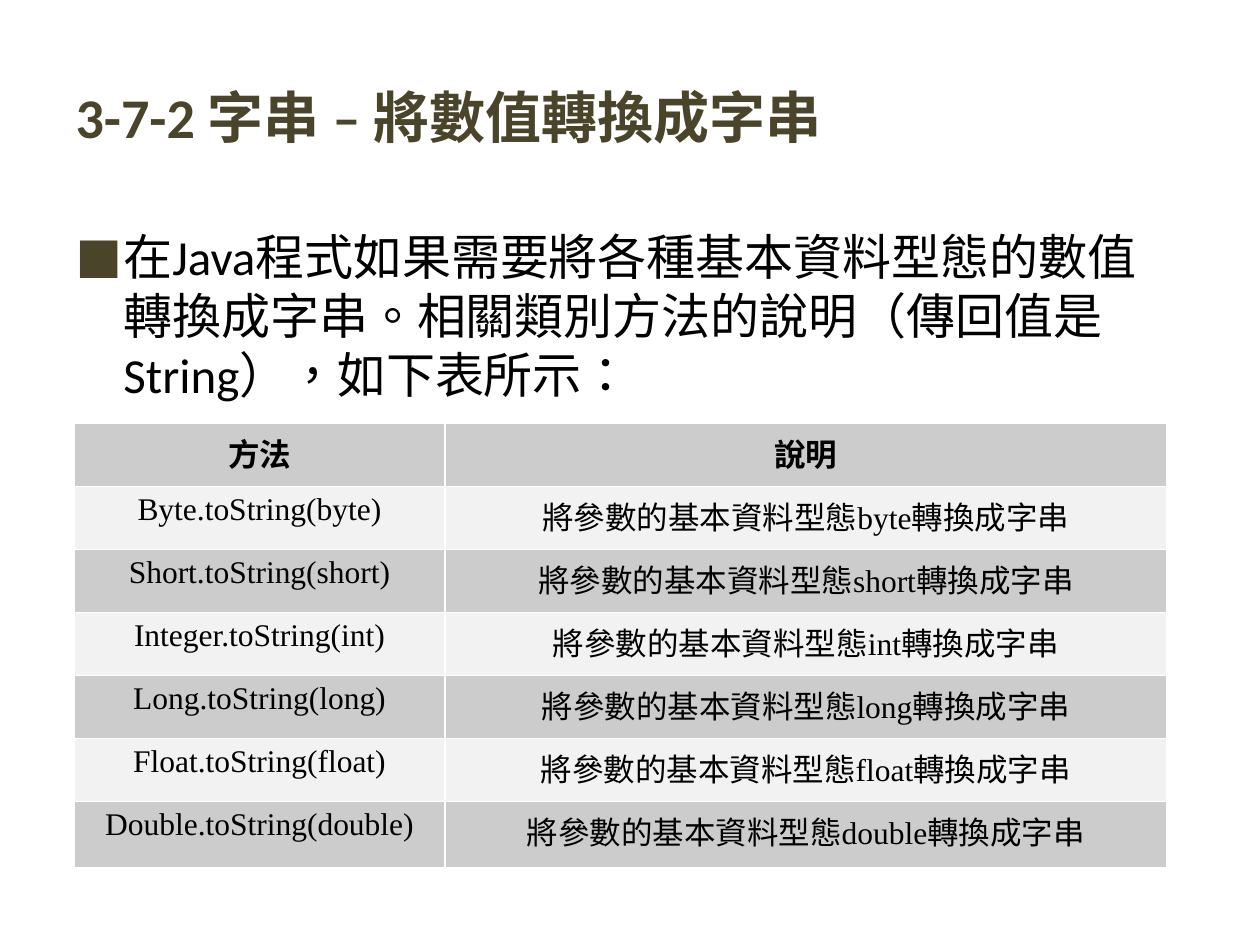
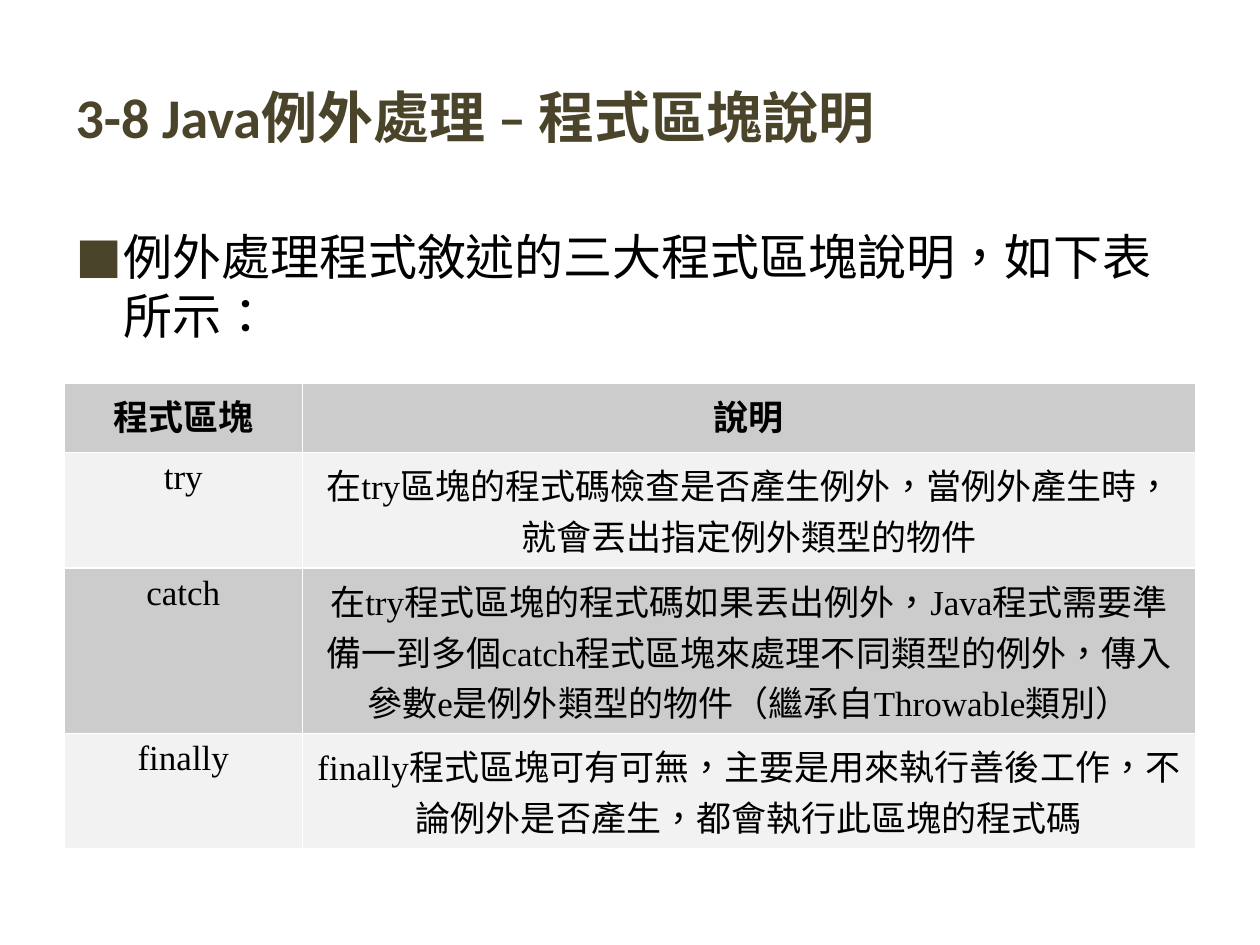
from pptx import Presentation
from pptx.dml.color import RGBColor
from pptx.enum.text import MSO_ANCHOR as Anchor, MSO_AUTO_SIZE as AutoSize, PP_ALIGN as Align
from pptx.oxml import parse_xml
from pptx.oxml.ns import nsdecls, qn
from pptx.util import Inches, Pt
from lxml.etree import SubElement

OLIVE, BLACK, WHITE = "4A452A", "000000", "FFFFFF"
DARK_BAND, LIGHT_BAND = "CCCCCC", "F2F2F2"
TITLE_FORMAT = {"size": Pt(32), "name": "Calibri", "bold": True}
BODY_FORMAT = {"size": Pt(28), "name": "Calibri", "bold": False}

CONVERTED_TYPES = ["Byte.byte", "Short.short", "Integer.int", "Long.long", "Float.float", "Double.double"]
conversions = [("方法", "說明")]
for pair in CONVERTED_TYPES:
    wrapper, primitive = pair.split(".")
    conversions.append((f"{wrapper}.toString({primitive})", f"將參數的基本資料型態{primitive}轉換成字串"))

PAGES = [
    {
        "title": "3-7-2 字串 – 將數值轉換成字串",
        "body": "在Java程式如果需要將各種基本資料型態的數值轉換成字串。"
                "相關類別方法的說明（傳回值是String），如下表所示：",
        "corner": (0.59, 3.36),
        "widths": [2.94, 5.73],
        "heights": [0.5] * 6 + [0.53],
        "size": 18,
        "rows": conversions,
    },
    {
        "title": "3-8 Java例外處理 – 程式區塊說明",
        "body": "例外處理程式敘述的三大程式區塊說明，如下表所示：",
        "corner": (0.51, 3.04),
        "widths": [1.89, 7.09],
        "heights": [0.55, 0.92, 1.3, 0.92],
        "size": 20,
        "rows": [
            ("程式區塊", "說明"),
            ("try", "在try區塊的程式碼檢查是否產生例外，當例外產生時，就會丟出指定例外類型的物件"),
            ("catch", "在try程式區塊的程式碼如果丟出例外，Java程式需要準備一到多個catch程式區塊"
                      "來處理不同類型的例外，傳入參數e是例外類型的物件（繼承自Throwable類別）"),
            ("finally", "finally程式區塊可有可無，主要是用來執行善後工作，"
                        "不論例外是否產生，都會執行此區塊的程式碼"),
        ],
    },
]


def paint(target, color):
    """Give a fill a solid colour from a hex string."""
    target.solid()
    target.fore_color.rgb = RGBColor.from_string(color)


def write(frame, text, formats, color, align):
    """Fill a text frame with one formatted paragraph and return it with its run."""
    para = frame.paragraphs[0]
    para.alignment = align
    span = para.add_run()
    span.text = text
    for key, value in formats.items():
        setattr(span.font, key, value)
    paint(span.font.fill, color)
    span._r.get_or_add_rPr().set("lang", "zh-TW")
    return para, span


deck = Presentation()
deck.slide_width, deck.slide_height = Inches(10), Inches(7.5)
column, row = deck.slide_width / 10, deck.slide_height / 7.5

for content in PAGES:
    page = deck.slides.add_slide(deck.slide_layouts[1])
    title, body = page.placeholders[0], page.placeholders[1]

    for box, top, height, anchor, text, formats, color in (
        (title, 0.3, 1.25, Anchor.MIDDLE, content["title"], TITLE_FORMAT, OLIVE),
        (body, 1.75, 4.95, Anchor.TOP, content["body"], BODY_FORMAT, BLACK),
    ):
        box.left, box.width = int(0.5 * column), int(9 * column)
        box.top, box.height = int(top * row), int(height * row)
        frame = box.text_frame
        frame.word_wrap, frame.auto_size = True, AutoSize.NONE
        frame.vertical_anchor = anchor
        para, span = write(frame, text, formats, color, Align.LEFT)
        SubElement(span._r.get_or_add_rPr(), qn("a:ea"), typeface=formats["name"])

    # The loop ends on the body paragraph, which takes the square bullet.
    para.space_before = Pt(7)
    bullet = para._p.get_or_add_pPr()
    bullet.set("marL", str(Inches(0.38)))
    bullet.set("indent", str(-Inches(0.38)))
    bullet_color = SubElement(bullet, qn("a:buClr"))
    SubElement(bullet_color, qn("a:srgbClr"), val=OLIVE)
    SubElement(bullet, qn("a:buFont"), typeface="Calibri")
    SubElement(bullet, qn("a:buChar"), char="■")

    left, top = content["corner"]
    widths, heights = content["widths"], content["heights"]
    table = page.shapes.add_table(
        len(heights), len(widths), int(left * column), int(top * row),
        int(sum(widths) * column), int(sum(heights) * row),
    ).table
    for index, width in enumerate(widths):
        table.columns[index].width = int(width * column)

    for line, (height, texts) in enumerate(zip(heights, content["rows"])):
        table.rows[line].height = int(height * row)
        formats = {"size": Pt(content["size"]), "name": "Times New Roman", "bold": line == 0}
        for cell, text in zip(table.rows[line].cells, texts):
            write(cell.text_frame, text, formats, BLACK, Align.CENTER)
            paint(cell.fill, LIGHT_BAND if line % 2 else DARK_BAND)
            for index, side in enumerate(("lnL", "lnR", "lnT", "lnB")):
                border = parse_xml(
                    f'<a:{side} {nsdecls("a")} w="{Pt(0.96)}"><a:solidFill>'
                    f'<a:srgbClr val="{WHITE}"/></a:solidFill></a:{side}>'
                )
                cell._tc.get_or_add_tcPr().insert(index, border)

deck.save("out.pptx")
